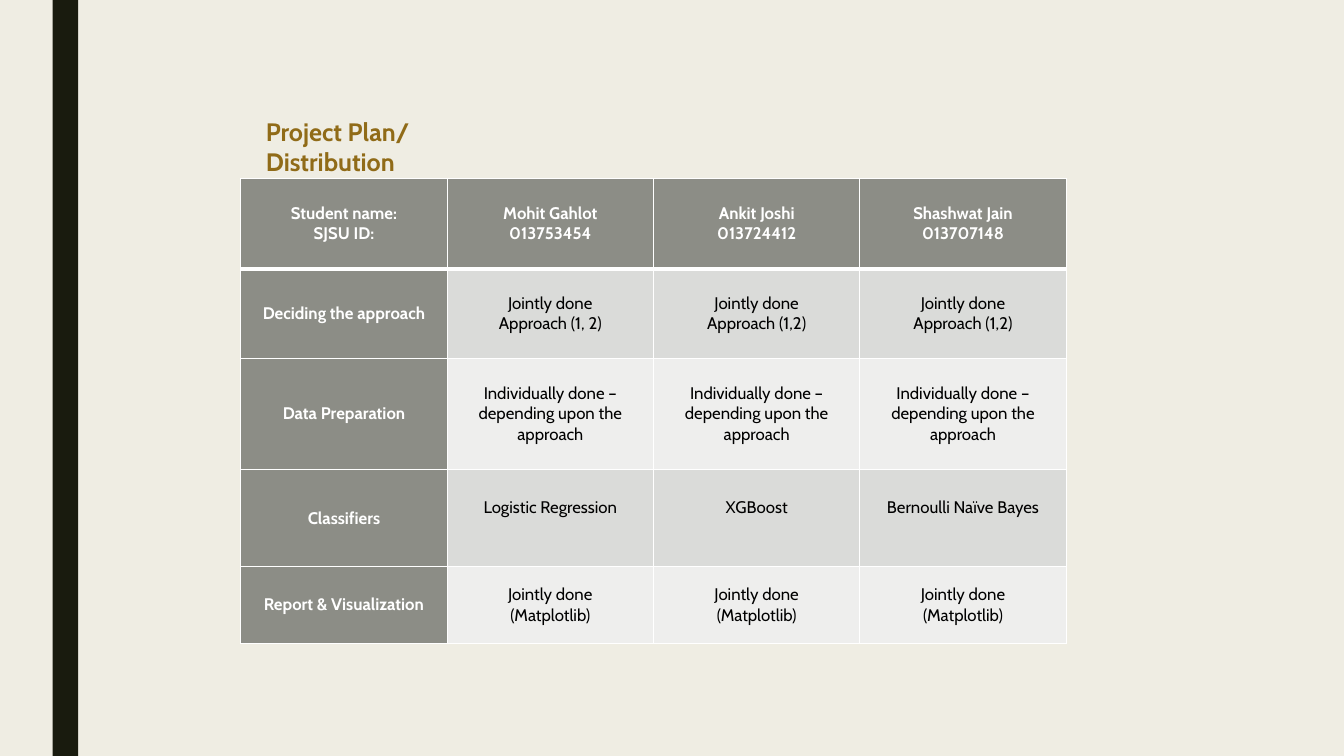
from lxml.etree import SubElement
from pptx import Presentation
from pptx.dml.color import RGBColor
from pptx.enum.shapes import MSO_SHAPE
from pptx.enum.text import MSO_ANCHOR, PP_ALIGN
from pptx.oxml.ns import qn
from pptx.util import Cm, Pt

FONT = "Cabin"
COLORS = {
    "background": "EFEDE3",
    "stripe": "191B0E",
    "title": "906B18",
    "heading": "8C8D86",
    "odd": "DADBD9",
    "even": "EEEEED",
    "white": "FFFFFF",
    "black": "000000",
}
STUDENTS = ["Mohit Gahlot\n013753454", "Ankit Joshi\n013724412", "Shashwat Jain\n013707148"]
ROWS = [
    ["Student name:\nSJSU ID:", *STUDENTS],
    ["Deciding the approach", "Jointly done\nApproach (1, 2)"] + ["Jointly done\nApproach (1,2)"] * 2,
    ["Data Preparation"] + ["Individually done – depending upon the approach"] * 3,
    ["Classifiers", "Logistic Regression", "XGBoost", "Bernoulli Naïve Bayes"],
    ["Report & Visualization"] + ["Jointly done\n(Matplotlib)"] * 3,
]
ROW_HEIGHTS = [2.27, 2.26, 2.8, 2.45, 1.93]
COLUMN_WIDTH = 5.2
CLASSIFIER_ROW = 3


def rgb(name):
    return RGBColor.from_string(COLORS[name])


def style(p, size, color, bold):
    p.font.name = FONT
    p.font.size = Pt(size)
    p.font.bold = bold
    p.font.color.rgb = rgb(color)


def add_stripe(s):
    sp = s.shapes.add_shape(MSO_SHAPE.RECTANGLE, Cm(1.33), 0, Cm(0.64), Cm(19.05))
    sp.shadow.inherit = False
    sp.fill.solid()
    sp.fill.fore_color.rgb = rgb("stripe")
    sp.line.fill.background()


def add_title(s, text):
    tf = s.shapes.add_textbox(Cm(6.45), Cm(2.8), Cm(7.32), Cm(1.02)).text_frame
    tf.word_wrap = True
    p = tf.paragraphs[0]
    p.text = text
    style(p, 18, "title", True)


def set_borders(cell, top, bottom):
    tc_pr = cell._tc.get_or_add_tcPr()
    for side, width in (("L", 1), ("R", 1), ("T", top), ("B", bottom)):
        ln = SubElement(tc_pr, qn(f"a:ln{side}"), w=str(Pt(width)))
        fill = SubElement(ln, qn("a:solidFill"))
        SubElement(fill, qn("a:srgbClr"), val=COLORS["white"])


def fill_cell(cell, text, row, column):
    heading = row == 0 or column == 0
    set_borders(cell, 3 if row == 1 else 1, 3 if row == 0 else 1)
    cell.fill.solid()
    cell.fill.fore_color.rgb = rgb("heading" if heading else "odd" if row % 2 else "even")
    cell.vertical_anchor = MSO_ANCHOR.MIDDLE
    cell.margin_left = cell.margin_right = Cm(0.18)
    cell.margin_top = 0
    cell.margin_bottom = Cm(0.51) if row == CLASSIFIER_ROW and not heading else 0
    tf = cell.text_frame
    tf.text = text
    for p in tf.paragraphs:
        p.alignment = PP_ALIGN.CENTER
        style(p, 12, "white" if heading else "black", heading)


def add_plan_table(s):
    columns = len(ROWS[0])
    table = s.shapes.add_table(
        len(ROWS), columns, Cm(6.07), Cm(4.5), Cm(COLUMN_WIDTH * columns), Cm(sum(ROW_HEIGHTS))
    ).table
    for column in table.columns:
        column.width = Cm(COLUMN_WIDTH)
    for i, (height, texts) in enumerate(zip(ROW_HEIGHTS, ROWS)):
        table.rows[i].height = Cm(height)
        for j, text in enumerate(texts):
            fill_cell(table.cell(i, j), text, i, j)


def main():
    prs = Presentation()
    prs.slide_width = Cm(33.87)
    prs.slide_height = Cm(19.05)
    s = prs.slides.add_slide(prs.slide_layouts[6])
    s.background.fill.solid()
    s.background.fill.fore_color.rgb = rgb("background")
    add_stripe(s)
    add_title(s, "Project Plan/ Distribution")
    add_plan_table(s)
    prs.save("out.pptx")


if __name__ == "__main__":
    main()
